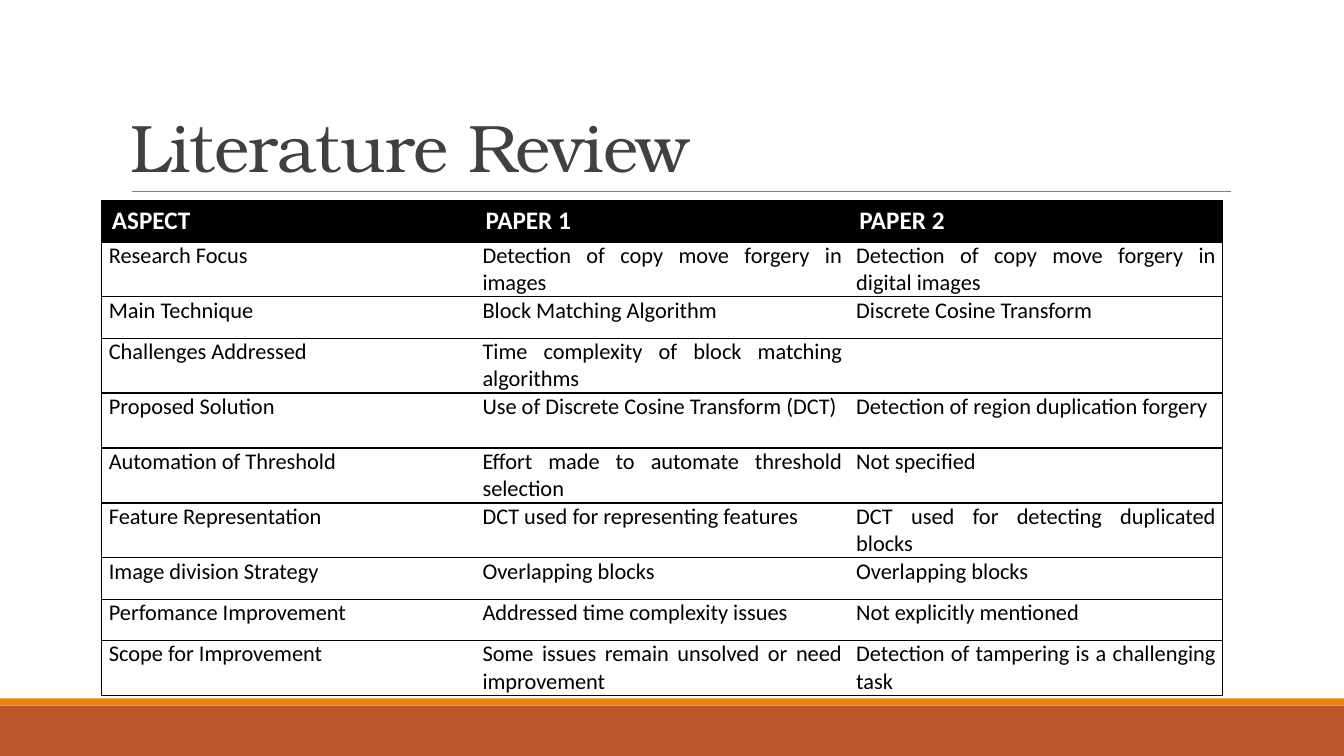
import pptx
import pptx.dml.color
import pptx.enum.shapes
import pptx.enum.text
import pptx.oxml
import pptx.oxml.ns
import pptx.util

COLORS = {
    "band": "BD582C",
    "stripe": "E48312",
    "rule": "808080",
    "title": "404040",
    "ink": "000000",
    "paper": "FFFFFF",
}
WIDTH, HEIGHT = 13.33, 7.5
ROW, TALL_ROW = 0.41, 0.545
REVIEW = [
    ("ASPECT", "PAPER 1", "PAPER 2"),
    ("Research Focus", "Detection of copy move forgery in images",
     "Detection of copy move forgery in digital images"),
    ("Main Technique", "Block Matching Algorithm", "Discrete Cosine Transform"),
    ("Challenges Addressed", "Time complexity of block matching algorithms", ""),
    ("Proposed Solution", "Use of Discrete Cosine Transform (DCT)",
     "Detection of region duplication forgery"),
    ("Automation of Threshold", "Effort made to automate threshold selection",
     "Not specified"),
    ("Feature Representation", "DCT used for representing features",
     "DCT used for detecting duplicated blocks"),
    ("Image division Strategy", "Overlapping blocks", "Overlapping blocks"),
    ("Perfomance Improvement", "Addressed time complexity issues",
     "Not explicitly mentioned"),
    ("Scope for Improvement", "Some issues remain unsolved or need improvement",
     "Detection of tampering is a challenging task"),
]
SINGLE_LINE_ROWS = {0, 2, 7, 8}


class ReviewSlide:
    """Hold the style and the current slide, and draw elements on it."""

    def __init__(self, presentation):
        self.presentation = presentation
        self.slide = presentation.slides.add_slide(presentation.slide_layouts[6])

    def across(self, inches):
        return round(self.presentation.slide_width * inches / WIDTH)

    def down(self, inches):
        return round(self.presentation.slide_height * inches / HEIGHT)

    def box(self, left, top, width, height):
        return self.across(left), self.down(top), self.across(width), self.down(height)

    def color(self, name):
        return pptx.dml.color.RGBColor.from_string(COLORS[name])

    def style(self, paragraph, font_name, size, color, bold=False):
        font = paragraph.font
        font.name, font.size, font.bold = font_name, pptx.util.Pt(size), bold
        font.color.rgb = self.color(color)

    def band(self, top, height, color):
        shape = self.slide.shapes.add_shape(
            pptx.enum.shapes.MSO_SHAPE.RECTANGLE, *self.box(0, top, WIDTH, height))
        shape.shadow.inherit = False
        shape.fill.solid()
        shape.fill.fore_color.rgb = self.color(color)
        shape.line.fill.background()

    def rule(self, left, right, top):
        connector = self.slide.shapes.add_connector(
            pptx.enum.shapes.MSO_CONNECTOR.STRAIGHT,
            self.across(left), self.down(top), self.across(right), self.down(top))
        connector.line.color.rgb = self.color("rule")
        connector.line.width = pptx.util.Pt(0.5)
        connector._element.spPr.append(pptx.oxml.parse_xml(
            f'<a:effectLst {pptx.oxml.ns.nsdecls("a")}/>'))

    def title(self, text, left, top, width, height):
        shape = self.slide.shapes.add_textbox(*self.box(left, top, width, height))
        frame = shape.text_frame
        frame.word_wrap = True
        frame.vertical_anchor = pptx.enum.text.MSO_ANCHOR.BOTTOM
        paragraph = frame.paragraphs[0]
        paragraph.line_spacing = 0.85
        run = paragraph.add_run()
        run.text = text
        self.style(paragraph, "TeX Gyre Bonum", 48, "title")
        run._r.get_or_add_rPr().set("spc", "-50")

    def borders(self, cell, visible):
        properties = cell._tc.get_or_add_tcPr()
        for index, side in enumerate("LRTB"):
            paint = (f'<a:solidFill><a:srgbClr val="{COLORS["ink"]}"/></a:solidFill>'
                     if side in visible else "<a:noFill/>")
            properties.insert(index, pptx.oxml.parse_xml(
                f'<a:ln{side} w="12700" {pptx.oxml.ns.nsdecls("a")}>{paint}</a:ln{side}>'))

    def cell(self, cell, text, header):
        cell.text = text
        paragraph = cell.text_frame.paragraphs[0]
        if header:
            cell.fill.solid()
            cell.fill.fore_color.rgb = self.color("ink")
            self.style(paragraph, "Calibri", 18, "paper", True)
        else:
            cell.fill.background()
            cell.margin_left = cell.margin_right = self.across(0.07)
            cell.margin_top = cell.margin_bottom = 0
            paragraph.alignment = pptx.enum.text.PP_ALIGN.JUSTIFY
            self.style(paragraph, "Calibri", 16, "ink")

    def table(self, rows, left, top, width):
        heights = [ROW if index in SINGLE_LINE_ROWS else TALL_ROW
                   for index in range(len(rows))]
        columns = len(rows[0])
        table = self.slide.shapes.add_table(
            len(rows), columns, *self.box(left, top, width, sum(heights))).table
        table.horz_banding = False
        for column in table.columns:
            column.width = self.across(width / columns)
        for row_index, texts in enumerate(rows):
            table.rows[row_index].height = self.down(heights[row_index])
            for column_index, text in enumerate(texts):
                cell = table.cell(row_index, column_index)
                self.cell(cell, text, row_index == 0)
                outer = {0: "L", columns - 1: "R"}.get(column_index, "")
                self.borders(cell, "TB" + outer)


def main():
    presentation = pptx.Presentation()
    presentation.slide_width = pptx.util.Inches(WIDTH)
    presentation.slide_height = pptx.util.Inches(HEIGHT)
    review = ReviewSlide(presentation)
    review.band(7, 0.5, "band")
    review.band(6.93, 0.07, "stripe")
    review.rule(1.31, 12.21, 1.9)
    review.title("Literature Review", 1.2, 0.31, 11, 1.59)
    review.table(REVIEW, 1.01, 1.99, 11.12)
    presentation.save("out.pptx")


if __name__ == "__main__":
    main()
